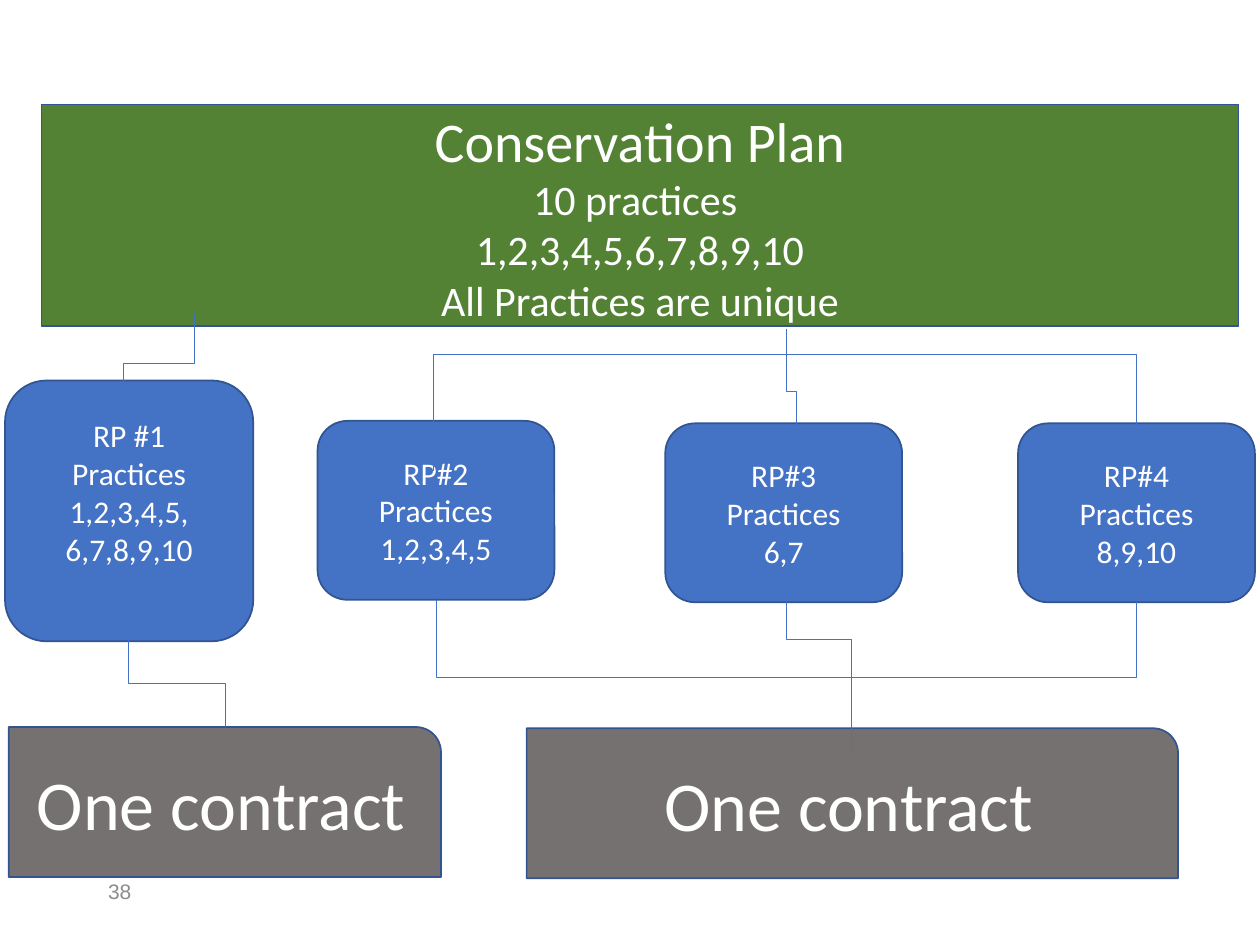
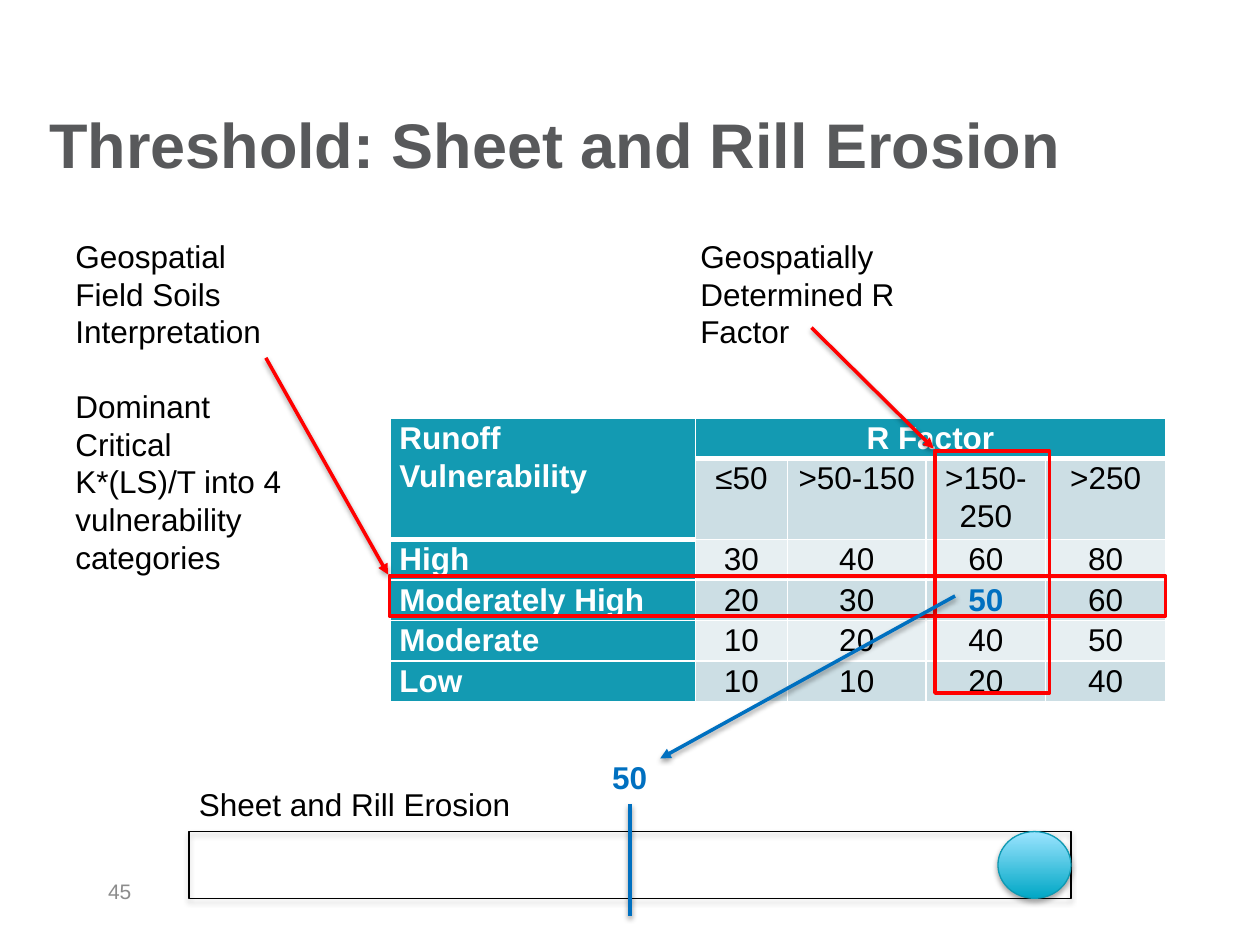
"""Builds two slides: a conservation plan chart and an erosion threshold table."""
from lxml import etree
from pptx import Presentation
from pptx.dml.color import RGBColor
from pptx.enum.shapes import MSO_CONNECTOR, MSO_SHAPE
from pptx.enum.text import MSO_ANCHOR, PP_ALIGN
from pptx.oxml.ns import qn
from pptx.util import Inches, Pt

RECT, ROUNDED = MSO_SHAPE.RECTANGLE, MSO_SHAPE.ROUNDED_RECTANGLE
TAB, CIRCLE = MSO_SHAPE.ROUND_1_RECTANGLE, MSO_SHAPE.OVAL
STRAIGHT, ELBOW = MSO_CONNECTOR.STRAIGHT, MSO_CONNECTOR.ELBOW
LEFT, CENTER = PP_ALIGN.LEFT, PP_ALIGN.CENTER
TOP, MIDDLE = MSO_ANCHOR.TOP, MSO_ANCHOR.MIDDLE

WHITE = RGBColor(0xFF, 0xFF, 0xFF)
BLACK = RGBColor(0x00, 0x00, 0x00)
GREEN = RGBColor(0x54, 0x82, 0x35)
BLUE = RGBColor(0x44, 0x72, 0xC4)
NAVY = RGBColor(0x32, 0x54, 0x91)
GRAY = RGBColor(0x76, 0x71, 0x71)
RED = RGBColor(0xFF, 0x00, 0x00)
ACCENT = RGBColor(0x00, 0x70, 0xC0)
TITLE_GRAY = RGBColor(0x58, 0x59, 0x5B)
NUMBER_GRAY = RGBColor(0x8C, 0x8C, 0x8C)
TEAL = RGBColor(0x13, 0x9A, 0xB2)
BAND_DARK = RGBColor(0xCC, 0xDE, 0xE4)
BAND_LIGHT = RGBColor(0xE7, 0xEF, 0xF2)
DOT_LINE = RGBColor(0x0F, 0x99, 0xB2)
DOT_STOPS = (RGBColor(0x00, 0xA7, 0xC5), RGBColor(0x9B, 0xE4, 0xFF))

COLUMNS, ROWS = 100, 75
WIDTH, HEIGHT = Inches(10), Inches(7.5)


class Deck:
    """Holds the style and the current slide; places elements on a 100 by 75 grid."""

    def __init__(self):
        self.prs = Presentation()
        self.prs.slide_width, self.prs.slide_height = WIDTH, HEIGHT
        self.s = None

    def grid(self, *lengths):
        """Turn alternating columns and rows into slide lengths."""
        units = (WIDTH / COLUMNS, HEIGHT / ROWS)
        return [round(v * units[i % 2]) for i, v in enumerate(lengths)]

    def slide(self, number, title=None):
        """Start a slide with its number and, if given, a title."""
        self.s = self.prs.slides.add_slide(self.prs.slide_layouts[5 if title else 6])
        if title:
            sp = self.s.shapes.title
            sp.left, sp.top, sp.width, sp.height = self.grid(2.9, 6.2, 90, 10.3)
            self.fill_text(sp.text_frame, [title], 36, TITLE_GRAY, bold=True, anchor=MIDDLE)
        self.text((7.6, 68.7, 23.3, 4), [number], 12, NUMBER_GRAY, anchor=MIDDLE)

    def fill_text(self, tf, lines, size, color, font="Arial", bold=False, align=LEFT,
                  anchor=TOP):
        """Fill a text frame with one paragraph a line."""
        tf.word_wrap, tf.vertical_anchor = True, anchor
        for i, line in enumerate(lines):
            p = tf.paragraphs[0] if i == 0 else tf.add_paragraph()
            p.text, p.alignment = line, align
            p.font.name, p.font.size, p.font.bold = font, Pt(size), bold
            p.font.color.rgb = color

    def text(self, at, lines, size=18, color=BLACK, **style):
        """Add a text box."""
        tf = self.s.shapes.add_textbox(*self.grid(*at)).text_frame
        self.fill_text(tf, lines, size, color, **style)
        return tf

    def shape(self, kind, at, fill=None, line=NAVY, weight=1.0, shadow=0):
        """Add a preset shape; shadow is its opacity in percent."""
        sp = self.s.shapes.add_shape(kind, *self.grid(*at))
        sp.shadow.inherit = False
        if fill is None:
            sp.fill.background()
        else:
            sp.fill.solid()
            sp.fill.fore_color.rgb = fill
        sp.line.color.rgb, sp.line.width = line, Pt(weight)
        if shadow:
            self.cast(sp._element.spPr.find(qn("a:effectLst")), shadow, 1.8)
        return sp

    def box(self, kind, at, lines, size, fill):
        """Add a filled shape with centred white text."""
        tf = self.shape(kind, at, fill).text_frame
        self.fill_text(tf, lines, size, WHITE, "Calibri", align=CENTER, anchor=MIDDLE)
        return tf

    def cast(self, effects, opacity, distance):
        """Put a soft downward shadow in an effect list."""
        shadow = etree.SubElement(effects, qn("a:outerShdw"), blurRad=str(Pt(3.1)),
                                  dist=str(Pt(distance)), dir="5400000", rotWithShape="0")
        color = etree.SubElement(shadow, qn("a:srgbClr"), val=str(BLACK))
        etree.SubElement(color, qn("a:alpha"), val=str(opacity * 1000))

    def connector(self, kind, start, end, color, weight):
        """Add a connector without the theme shadow."""
        c = self.s.shapes.add_connector(kind, *self.grid(*start, *end))
        c.line.color.rgb, c.line.width = color, Pt(weight)
        return c, etree.SubElement(c._element.spPr, qn("a:effectLst"))

    def line(self, start, end, color, weight=2.0, arrow=True):
        """Add a straight shadowed line, with an arrowhead at its end."""
        c, effects = self.connector(STRAIGHT, start, end, color, weight)
        self.cast(effects, 38, 1.6)
        if arrow:
            ln = c._element.spPr.find(qn("a:ln"))
            etree.SubElement(ln, qn("a:tailEnd"), type="triangle")

    def elbow(self, start, end, bends=2, down_first=True, turn=0.5):
        """Add a bent line that leaves downwards or sideways."""
        c, _ = self.connector(ELBOW, start, end, BLUE, 0.5)
        spPr = c._element.spPr
        geom = spPr.find(qn("a:prstGeom"))
        geom.set("prst", f"bentConnector{bends + 1}")
        if turn != 0.5:
            guides = geom.find(qn("a:avLst"))
            etree.SubElement(guides, qn("a:gd"), name="adj1", fmla=f"val {turn * 100000:.0f}")
        if down_first:
            rightwards = end[0] > start[0]
            middle_x, middle_y = c.left + c.width // 2, c.top + c.height // 2
            c.width, c.height = c.height, c.width
            c.left, c.top = middle_x - c.width // 2, middle_y - c.height // 2
            xfrm = spPr.find(qn("a:xfrm"))
            xfrm.set("rot", str((270 if rightwards else 90) * 60000))
            xfrm.set("flipH", "1" if rightwards else "0")

    def border(self, cell, side, weight):
        """Draw one white cell border."""
        ln = etree.SubElement(cell._tc.get_or_add_tcPr(), qn(f"a:ln{side}"), w=str(Pt(weight)))
        fill = etree.SubElement(ln, qn("a:solidFill"))
        etree.SubElement(fill, qn("a:srgbClr"), val=str(WHITE))

    def table(self, at, widths, heights, rows, merges, emphasis):
        """Add a banded table with a two-row header and a teal first column."""
        frame = self.s.shapes.add_table(len(rows), len(widths),
                                        *self.grid(*at, sum(widths), sum(heights)))
        table = frame.table
        table.first_row = table.horz_banding = False
        for column, width in zip(table.columns, widths):
            column.width = self.grid(width)[0]
        for row, height in zip(table.rows, heights):
            row.height = self.grid(0, height)[1]
        for r, values in enumerate(rows):
            for c, value in enumerate(values):
                cell = table.cell(r, c)
                header_end = 1 if c == 0 else 0
                self.border(cell, "L", 1)
                self.border(cell, "R", 1)
                self.border(cell, "T", 3 if r == header_end + 1 else 1)
                self.border(cell, "B", 3 if r <= header_end else 1)
                heading = r == 0 or c == 0
                cell.fill.solid()
                cell.fill.fore_color.rgb = (
                    TEAL if heading else BAND_DARK if r % 2 else BAND_LIGHT)
                cell.margin_left = cell.margin_right = Inches(0.07)
                cell.margin_top = cell.margin_bottom = 0
                key = (r, c) == emphasis
                p = cell.text_frame.paragraphs[0]
                p.text, p.line_spacing = value, 1.07
                p.alignment = CENTER if c else LEFT
                p.font.name, p.font.size, p.font.bold = "Arial", Pt(18), heading or key
                p.font.color.rgb = WHITE if heading else ACCENT if key else BLACK
        for first, last in merges:
            table.cell(*first).merge(table.cell(*last))


def plan_slide(deck):
    """Show how one plan splits into four RPs and two contracts."""
    deck.slide("38")
    plan = ["Conservation Plan", "10 practices ", "1,2,3,4,5,6,7,8,9,10",
            "All Practices are unique"]
    tf = deck.box(RECT, (3.3, 8.3, 95, 17.6), plan, 24, GREEN)
    tf.paragraphs[0].font.size = Pt(32)

    first = ["RP #1", "Practices", "1,2,3,4,5,", "6,7,8,9,10"]
    tf = deck.box(ROUNDED, (0.4, 30.2, 19.7, 20.7), first, 18, BLUE)
    tf.margin_bottom = Inches(0.35)
    for name, practices, x, y in (("RP#2", "1,2,3,4,5", 25.2, 33.4),
                                  ("RP#3", "6,7", 52.8, 33.6),
                                  ("RP#4", "8,9,10", 80.8, 33.6)):
        deck.box(ROUNDED, (x, y, 18.8, 14.2), [name, "Practices", practices], 18, BLUE)
    for x, y, width in ((0.7, 57.7, 34.3), (41.8, 57.8, 51.7)):
        deck.box(TAB, (x, y, width, 11.9), ["One contract"], 40, GRAY)

    deck.elbow((15.4, 24.9), (9.8, 32.8))
    deck.elbow((62.4, 26.1), (63.2, 36.1))
    for x in (34.4, 90.2):
        deck.elbow((52.6, 28.1), (x, 37.4), bends=1, down_first=False)
    deck.elbow((10.2, 50.8), (17.9, 57.7))
    deck.elbow((34.6, 47.6), (67.4, 53.8), bends=1)
    deck.elbow((62.4, 47.8), (67.6, 59.7), turn=0.25)
    deck.elbow((90.2, 47.8), (67, 53.8), bends=1)


def threshold_slide(deck):
    """Show how the erosion threshold is read from the table."""
    deck.slide("45", "Threshold: Sheet and Rill Erosion")
    rows = [
        ["Runoff Vulnerability", "R Factor", "", "", ""],
        ["", "≤50", ">50-150", ">150-250", ">250"],
        ["High", "30", "40", "60", "80"],
        ["Moderately High", "20", "30", "50", "60"],
        ["Moderate", "10", "20", "40", "50"],
        ["Low", "10", "10", "20", "40"],
    ]
    deck.table((31, 33.2), (24.2, 7.3, 11, 9.5, 9.5), (3, 6, 3, 3, 3, 3), rows,
               merges=(((0, 0), (1, 0)), ((0, 1), (0, 4))), emphasis=(3, 3))

    deck.text((54.6, 18.3, 19.7, 10.1), ["Geospatially Determined R Factor"])
    tf = deck.text((5, 18.3, 19.7, 28.3),
                   ["Geospatial Field Soils Interpretation", "Dominant Critical",
                    "K*(LS)/T into 4 vulnerability categories"])
    tf.paragraphs[1].space_before = Pt(21)
    deck.line((64.4, 26), (74.1, 35.6), RED)
    deck.line((21.1, 28.4), (30.8, 45.6), RED)
    for at in ((30.9, 45.7, 61.6, 3.2), (74.2, 35.8, 9.1, 19.2)):
        deck.shape(RECT, at, line=RED, weight=2)

    deck.shape(RECT, (15, 66, 70, 5.3), line=BLACK, weight=0.75, shadow=35)
    deck.text((14.8, 61.8, 28, 4), ["Sheet and Rill Erosion"])
    deck.line((50, 63.8), (50, 72.7), ACCENT, 2.5, arrow=False)
    deck.line((75.8, 47.3), (52.4, 60.2), ACCENT)
    deck.text((47.6, 59.7, 6, 4), ["50"], color=ACCENT, bold=True)
    dot = deck.shape(CIRCLE, (79.2, 66, 5.8, 5.3), line=DOT_LINE, weight=0.75, shadow=35)
    dot.fill.gradient()
    dot.fill.gradient_angle = 90
    for position, (stop, color) in enumerate(zip(dot.fill.gradient_stops, DOT_STOPS)):
        stop.position, stop.color.rgb = position, color


def main():
    """Build both slides and save them."""
    deck = Deck()
    plan_slide(deck)
    threshold_slide(deck)
    deck.prs.save("out.pptx")


if __name__ == "__main__":
    main()
